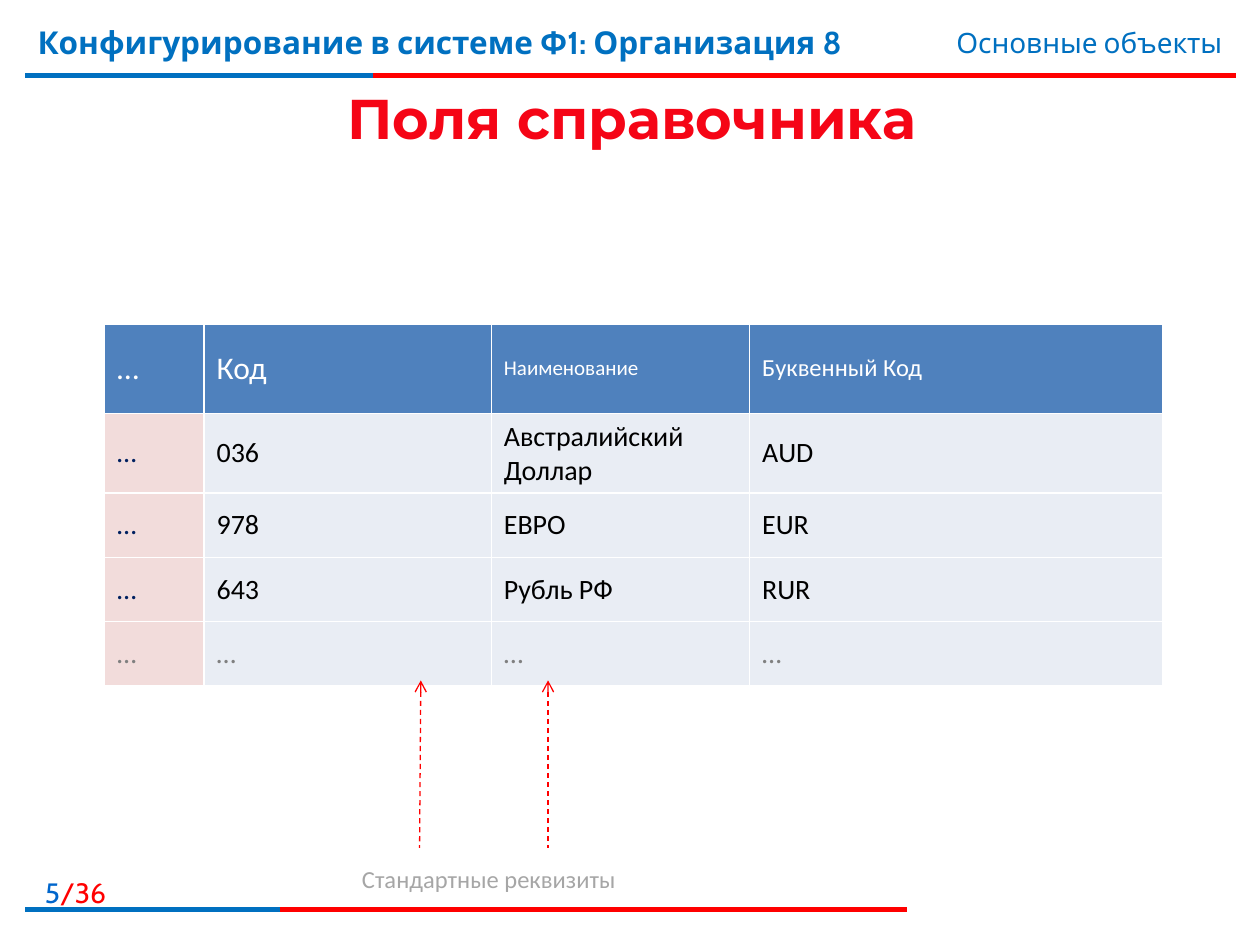
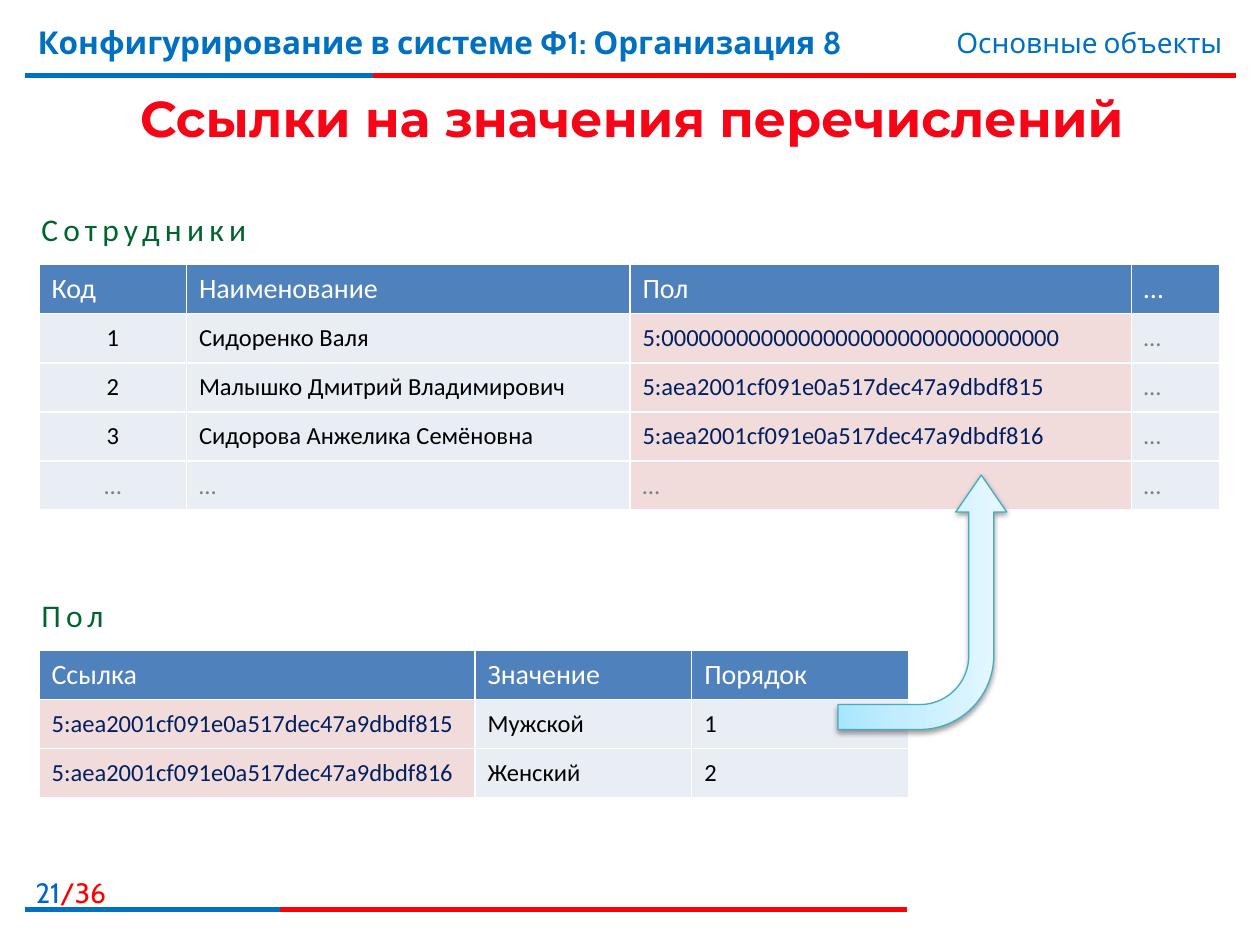
from pptx import Presentation
from pptx.util import Inches, Pt
from pptx.dml.color import RGBColor
from pptx.enum.dml import MSO_LINE
from pptx.enum.shapes import MSO_CONNECTOR, MSO_SHAPE
from pptx.enum.text import MSO_ANCHOR, PP_ALIGN as AL
from pptx.oxml import parse_xml
from pptx.oxml.ns import nsdecls
from lxml.etree import SubElement


class Theme:
    """Colours, fonts and type sizes of the deck."""
    red, blue, number = "FF0000", "0070C0", "0066CC"
    head_fill, cell_fill, key_fill = "4F81BD", "E9EDF4", "F2DCDB"
    white, black, navy, grey = "FFFFFF", "000000", "002060", "808080"
    caption, label, arrow_line = "A6A6A6", "00642D", "46AAC5"
    title_stops = [(55, "F50516"), (86, "C00000")]
    arrow_stops = [(0, "A7E6FF"), (35, "C1EDFF"), (100, "E7F8FF")]
    brand_font, title_font, body_font = "Cabin", "Montserrat", "Calibri"
    course_size, label_size, small_size, note_size = 18, 18, 16, 14


COURSE = "Конфигурирование в системе Ф1: Организация 8"
SECTION = "Основные объекты"
TOTAL = 36
DOTS = "…"

# Bands: y, left, end of the blue part, end of the red part
BANDS = [(0.6, 0.2, 2.96, 9.81), (7.22, 0.2, 2.22, 7.2)]

REF_MALE = "5:aea2001cf091e0a517dec47a9dbdf815"
REF_FEMALE = "5:aea2001cf091e0a517dec47a9dbdf816"

CURRENCIES = dict(
    at=(0.83, 2.57), cols=[0.79, 2.28, 2.05, 3.28], heights=[0.71] + [0.51] * 4,
    key=0, head_sizes=[18, 18, 12, 14], size=16,
    rows=[
        [DOTS, "Код", "Наименование", "Буквенный Код"],
        [DOTS, "036", "Австралийский Доллар", "АUD"],
        [DOTS, "978", "ЕВРО", "EUR"],
        [DOTS, "643", "Рубль РФ", "RUR"],
        [DOTS] * 4,
    ])
GENDERS = dict(
    at=(0.31, 5.16), cols=[3.46, 1.72, 1.72], heights=[0.39] * 3,
    key=0, head_sizes=[16] * 3, size=14,
    rows=[
        ["Ссылка", "Значение", "Порядок"],
        [REF_MALE, "Мужской", "1"],
        [REF_FEMALE, "Женский", "2"],
    ])
EMPLOYEES = dict(
    at=(0.31, 2.1), cols=[1.17, 3.52, 3.98, 0.7], heights=[0.39] * 5,
    key=2, head_sizes=[16] * 4, size=14, centred=0,
    rows=[
        ["Код", "Наименование", "Пол", DOTS],
        ["1", "Сидоренко Валя", "5:" + "0" * 32, DOTS],
        ["2", "Малышко Дмитрий Владимирович", REF_MALE, DOTS],
        ["3", "Сидорова Анжелика Семёновна", REF_FEMALE, DOTS],
        [DOTS] * 4,
    ])

FIELD_ARROWS = [(3.34, 3.33), (4.35, 4.35)]  # x at the tip, x at the tail
FIELD_ARROW_Y = (5.4, 6.73)
FIELD_CAPTION = ("Стандартные реквизиты", (2.76, 6.81, 2.24, 0.34))
TABLE_LABELS = [("Сотрудники", (0.23, 1.62, 1.89, 0.4)),
                ("Пол", (0.23, 4.68, 0.74, 0.4))]
LINK_ARROW = dict(at=(6.31, 4.11, 2.02, 1.34), adj=(0.148, 0.151, 0.219, 0.438))


def rgb(code):
    """Turn a hex code into a colour."""
    return RGBColor.from_string(code)


def gradient(stops, angle):
    """Make a linear gradient fill element."""
    gs = "".join(f'<a:gs pos="{pos * 1000}"><a:srgbClr val="{c}"/></a:gs>'
                 for pos, c in stops)
    return parse_xml(f'<a:gradFill {nsdecls("a")}><a:gsLst>{gs}</a:gsLst>'
                     f'<a:lin ang="{angle * 60000}" scaled="0"/></a:gradFill>')


def add_run(p, text, font, size, color=None, bold=False):
    """Add a formatted run to a paragraph."""
    r = p.add_run()
    r.text = text
    r.font.name, r.font.size, r.font.bold = font, Pt(size), bold
    if color:
        r.font.color.rgb = rgb(color)
    return r


def add_text(s, box, align=AL.LEFT, wrap=True, anchor=MSO_ANCHOR.TOP):
    """Add a text box and return its first paragraph."""
    tf = s.shapes.add_textbox(*map(Inches, box)).text_frame
    tf.word_wrap, tf.vertical_anchor = wrap, anchor
    p = tf.paragraphs[0]
    p.alignment = align
    return p


def add_line(s, start, end, color, width):
    """Add a straight line without a shadow."""
    line = s.shapes.add_connector(MSO_CONNECTOR.STRAIGHT,
                                  *map(Inches, (*start, *end)))
    line.line.color.rgb, line.line.width = rgb(color), Pt(width)
    line._element.spPr.append(parse_xml(f'<a:effectLst {nsdecls("a")}/>'))
    return line


def add_title(s, text, size):
    """Add the centred gradient title with a thin white outline."""
    p = add_text(s, (0.21, 0.63, 9.61, 0.6), AL.CENTER, anchor=MSO_ANCHOR.MIDDLE)
    r = add_run(p, text, Theme.title_font, size, bold=True)
    outline = parse_xml(f'<a:ln {nsdecls("a")} w="9525"><a:solidFill>'
                        f'<a:srgbClr val="{Theme.white}"/></a:solidFill></a:ln>')
    rPr = r.font._element
    rPr.insert(0, outline)
    rPr.insert(1, gradient(Theme.title_stops, 90))


def add_page(prs, number, title, title_size):
    """Add a slide with bands, header, page number and title."""
    s = prs.slides.add_slide(prs.slide_layouts[6])
    for y, left, middle, right in BANDS:
        add_line(s, (left, y), (right, y), Theme.red, 3)
        add_line(s, (left, y), (middle, y), Theme.blue, 3)
    p = add_text(s, (-0.1, 6.9, 1.04, 0.32), AL.RIGHT)
    add_run(p, str(number), Theme.brand_font, Theme.small_size, Theme.number)
    add_run(p, f"/{TOTAL}", Theme.brand_font, Theme.small_size, Theme.red)
    add_run(add_text(s, (0.2, 0.13, 7.4, 0.62)), COURSE,
            Theme.brand_font, Theme.course_size, Theme.blue, bold=True)
    add_run(add_text(s, (5.94, 0.15, 3.86, 0.37), AL.RIGHT), SECTION,
            Theme.brand_font, Theme.small_size, Theme.blue)
    add_title(s, title, title_size)
    return s


def cell_style(data, i, j):
    """Return fill, text colour and size for the cell in row i, column j."""
    row, is_key = data["rows"][i], j == data["key"]
    if i == 0:
        return Theme.head_fill, Theme.white, data["head_sizes"][j]
    if set(row) == {DOTS} or (row[j] == DOTS and not is_key):
        color = Theme.grey
    else:
        color = Theme.navy if is_key else Theme.black
    return Theme.key_fill if is_key else Theme.cell_fill, color, data["size"]


def add_data_table(s, data):
    """Add a table; the white rules come from the default table style."""
    cols, heights, rows = data["cols"], data["heights"], data["rows"]
    box = (*data["at"], sum(cols), sum(heights))
    table = s.shapes.add_table(len(rows), len(cols), *map(Inches, box)).table
    table.horz_banding = False
    for col, width in zip(table.columns, cols):
        col.width = Inches(width)
    for i, row in enumerate(rows):
        table.rows[i].height = Inches(heights[i])
        for j, text in enumerate(row):
            fill, color, size = cell_style(data, i, j)
            cell = table.cell(i, j)
            cell.fill.solid()
            cell.fill.fore_color.rgb = rgb(fill)
            cell.vertical_anchor = MSO_ANCHOR.MIDDLE
            p = cell.text_frame.paragraphs[0]
            if i and j == data.get("centred"):
                p.alignment = AL.CENTER
            add_run(p, text, Theme.body_font, size, color)


def add_field_arrow(s, tip_x, tail_x):
    """Add a dashed arrow that points up at a table column."""
    top, bottom = FIELD_ARROW_Y
    arrow = add_line(s, (tip_x, top), (tail_x, bottom), Theme.red, 0.75)
    arrow.line.dash_style = MSO_LINE.DASH
    ln = arrow.line._get_or_add_ln()
    SubElement(ln, ln.tag[:-2] + "headEnd", type="arrow")


def add_link_arrow(s, at, adj):
    """Add the bent arrow from the enumeration to the column that uses it."""
    sp = s.shapes.add_shape(MSO_SHAPE.BENT_ARROW, *map(Inches, at))
    for i, value in enumerate(adj):
        sp.adjustments[i] = value
    sp.rotation = 270
    spPr = sp._element.spPr
    spPr.xfrm.set("flipV", "1")
    sp.line.color.rgb, sp.line.width = rgb(Theme.arrow_line), Pt(0.75)
    spPr.insert(2, gradient(Theme.arrow_stops, 270))
    spPr.append(parse_xml(
        f'<a:effectLst {nsdecls("a")}><a:outerShdw blurRad="{Pt(3.1)}" '
        f'dist="{Pt(1.6)}" dir="5400000" rotWithShape="0"><a:srgbClr '
        f'val="{Theme.black}"><a:alpha val="38000"/></a:srgbClr>'
        '</a:outerShdw></a:effectLst>'))


def build_fields(prs):
    """Build the slide on catalogue fields."""
    s = add_page(prs, 5, "Поля справочника", 32)
    add_data_table(s, CURRENCIES)
    for tip_x, tail_x in FIELD_ARROWS:
        add_field_arrow(s, tip_x, tail_x)
    text, box = FIELD_CAPTION
    add_run(add_text(s, box, AL.CENTER, wrap=False), text,
            Theme.body_font, Theme.note_size, Theme.caption)


def build_references(prs):
    """Build the slide on references to enumeration values."""
    s = add_page(prs, 21, "Ссылки на значения перечислений", 28.8)
    add_data_table(s, GENDERS)
    add_data_table(s, EMPLOYEES)
    for text, box in TABLE_LABELS:
        r = add_run(add_text(s, box, wrap=False), text,
                    Theme.body_font, Theme.label_size, Theme.label)
        r.font._element.set("spc", "300")
    add_link_arrow(s, **LINK_ARROW)


prs = Presentation()
prs.slide_width, prs.slide_height = Inches(10), Inches(7.5)
build_fields(prs)
build_references(prs)
prs.save("out.pptx")
